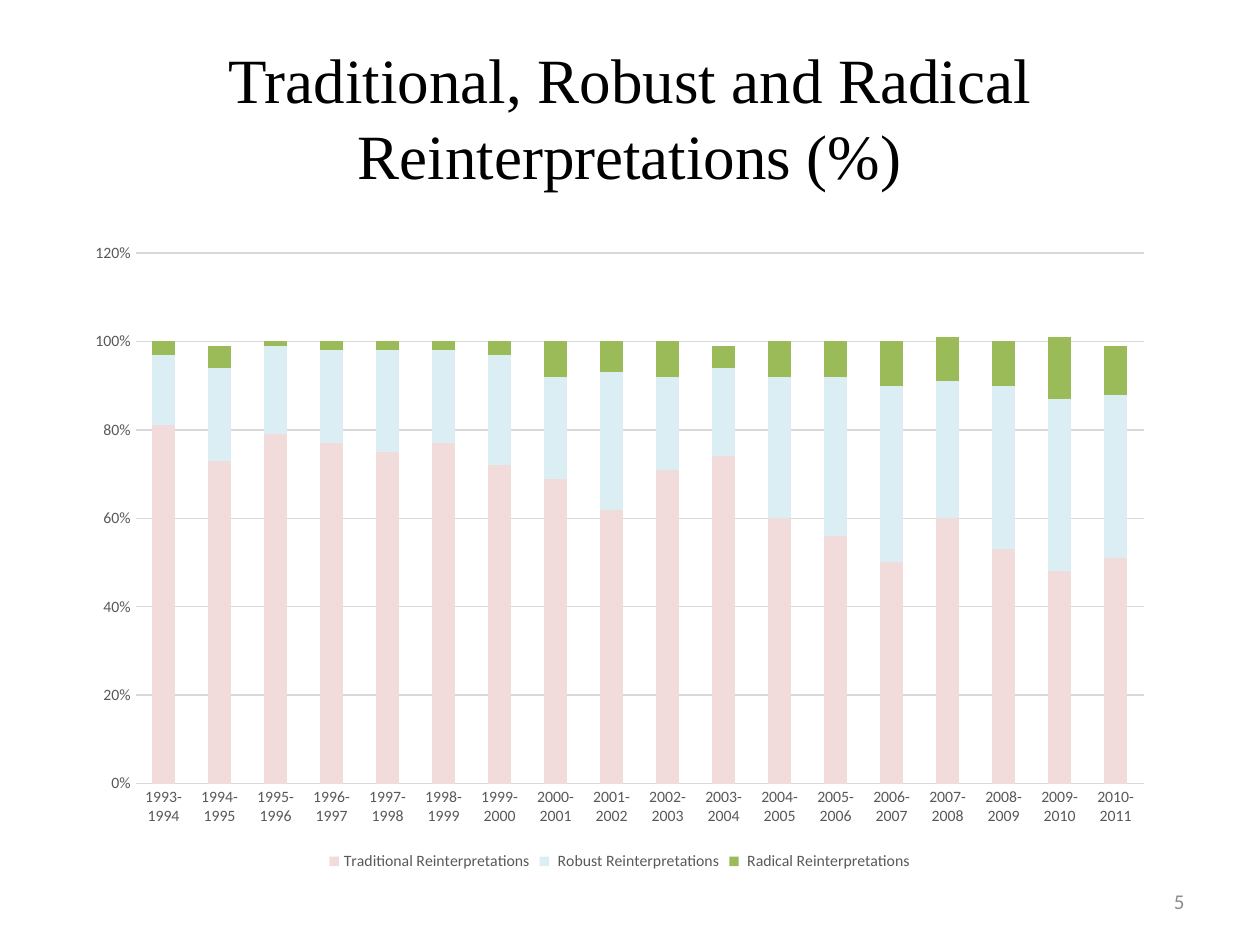
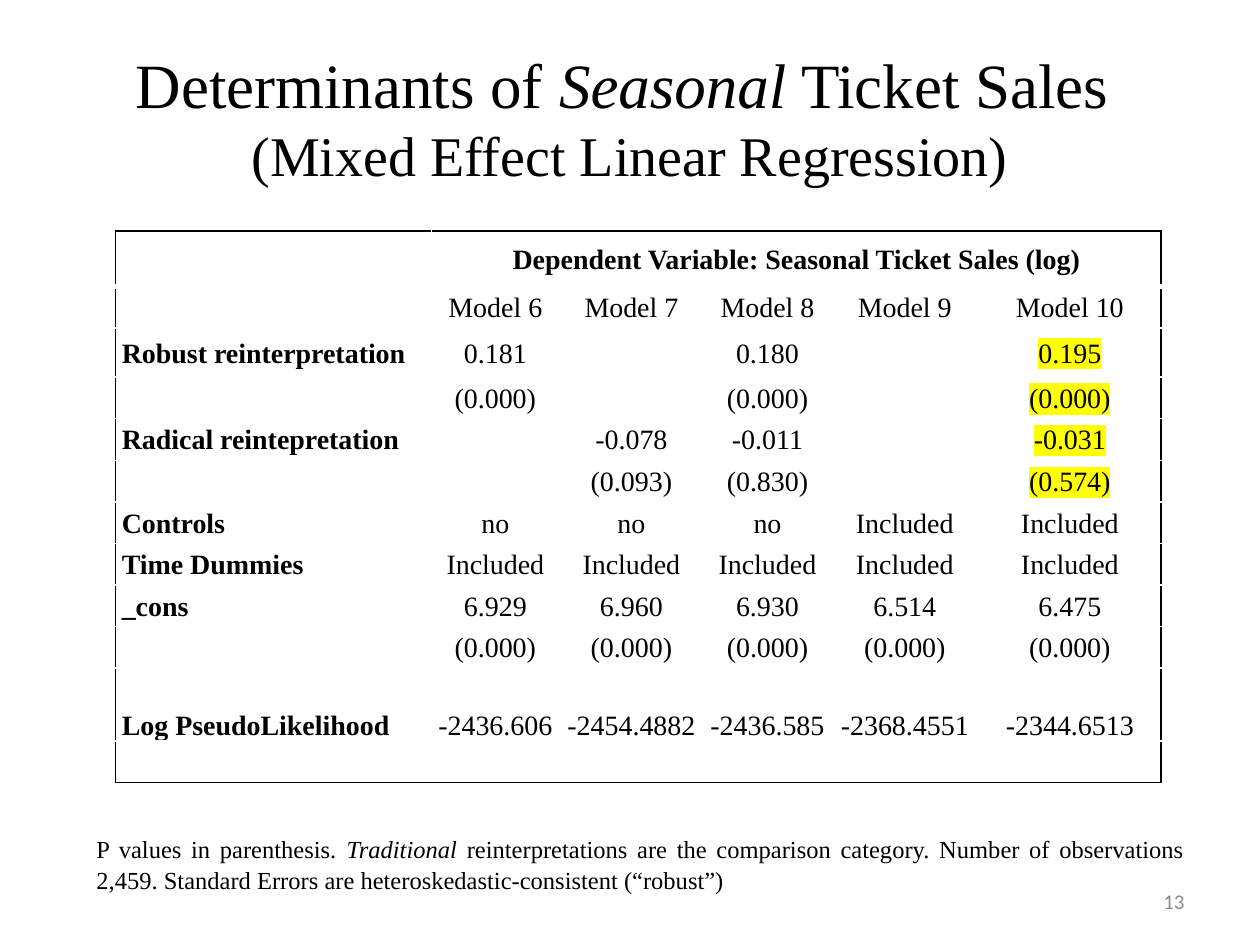
from dataclasses import dataclass
from typing import NamedTuple

from lxml import etree
from pptx import Presentation
from pptx import util as u
from pptx.chart.data import CategoryChartData
from pptx.dml.color import RGBColor
from pptx.enum import chart as ch
from pptx.enum import text
from pptx.oxml import ns

ALIGN, ANCHOR = text.PP_ALIGN, text.MSO_ANCHOR


@dataclass(frozen=True)
class Theme:
    serif: str = "Times New Roman"
    sans: str = "Calibri"
    ink: str = "000000"
    paper: str = "FFFFFF"
    muted: str = "8C8C8C"
    label: str = "595959"
    grid: str = "D9D9D9"
    mark: str = "FFFF00"
    title: int = 36
    subtitle: int = 32
    cell: int = 16
    note: int = 14
    page: int = 12
    chart: int = 9
    spacing: float = 1.07


class Box(NamedTuple):
    """A place on a grid of 120 columns by 90 rows."""
    col: float
    row: float
    cols: float
    rows: float


class Span(NamedTuple):
    text: str
    italic: bool = False
    size: int | None = None
    new_line: bool = False


class Series(NamedTuple):
    name: str
    color: str
    percents: list[int]


class Row(NamedTuple):
    label: str
    values: list[str]
    height: float = 0.33
    marked: bool = False
    anchor: ANCHOR = ANCHOR.MIDDLE


T = Theme()
WIDTH, HEIGHT = u.Inches(10), u.Inches(7.5)
UNIT = WIDTH / 120

TITLE = Box(6, 3.6, 108, 15)
PAGE = Box(86, 83.4, 28, 4.8)
CHART = Box(7, 22, 104, 61.4)
TABLE = Box(11, 22, 99.5, 53)
NOTE = Box(8, 78.6, 106, 7.3)

FIRST_SEASON = 1993
SERIES = [
    Series("Traditional Reinterpretations", "F2DCDB",
           [81, 73, 79, 77, 75, 77, 72, 69, 62, 71, 74, 60, 56, 50, 60, 53, 48, 51]),
    Series(" Robust Reinterpretations", "DBEEF4",
           [16, 21, 20, 21, 23, 21, 25, 23, 31, 21, 20, 32, 36, 40, 31, 37, 39, 37]),
    Series(" Radical Reinterpretations", "9BBB59",
           [3, 5, 1, 2, 2, 2, 3, 8, 7, 8, 5, 8, 8, 10, 10, 10, 14, 11]),
]

COLUMN_WIDTHS = [2.51, 1.01, 1.15, 1.01, 1.17, 1.45]
P_ZERO = "(0.000)"
ROWS = [
    Row("", ["Dependent Variable: Seasonal Ticket Sales (log)"] + [""] * 4, 0.44),
    Row("", [f"Model {n}" for n in range(6, 11)]),
    Row("Robust reinterpretation", ["0.181", "", "0.180", "", "0.195"], 0.39, marked=True),
    Row("", [P_ZERO, "", P_ZERO, "", P_ZERO], marked=True),
    Row("Radical reintepretation", ["", "-0.078", "-0.011", "", "-0.031"], marked=True),
    Row("", ["", "(0.093)", "(0.830)", "", "(0.574)"], marked=True),
    Row("Controls", ["no"] * 3 + ["Included"] * 2),
    Row("Time Dummies", ["Included"] * 5),
    Row("_cons", ["6.929", "6.960", "6.930", "6.514", "6.475"]),
    Row("", [P_ZERO] * 5),
    Row("Log PseudoLikelihood",
        ["-2436.606", "-2454.4882", "-2436.585", "-2368.4551", "-2344.6513"],
        0.58, anchor=ANCHOR.BOTTOM),
    Row("", [""] * 5),
]


def place(box: Box) -> list[int]:
    return [round(v * UNIT) for v in box]


def style_font(font, size: int, color: str, name: str = T.sans) -> None:
    font.size, font.name = u.Pt(size), name
    font.color.rgb = RGBColor.from_string(color)


def write(tf, spans: str | list[Span], *, size: int, color: str = T.ink, name: str = T.serif,
          bold: bool = False, align: ALIGN = ALIGN.LEFT, spacing: float | None = None,
          highlight: str | None = None) -> None:
    p = tf.paragraphs[0]
    p.alignment = align
    if spacing:
        p.line_spacing = spacing
    for span in [Span(spans)] if isinstance(spans, str) else spans:
        if span.new_line:
            p.add_line_break()
        r = p.add_run()
        r.text = span.text
        style_font(r.font, span.size or size, color, name)
        r.font.bold, r.font.italic = bold, span.italic
        if highlight:
            mark = etree.Element(ns.qn("a:highlight"))
            etree.SubElement(mark, ns.qn("a:srgbClr"), val=highlight)
            r.font.fill._xPr.find(ns.qn("a:solidFill")).addnext(mark)


def add_text(s, box: Box, spans: str | list[Span], anchor: ANCHOR = ANCHOR.MIDDLE,
             **fmt) -> None:
    tf = s.shapes.add_textbox(*place(box)).text_frame
    tf.word_wrap, tf.vertical_anchor = True, anchor
    write(tf, spans, **fmt)


def add_slide(prs, title: str | list[Span], number: int):
    """Add a blank slide with the shared title and page number."""
    s = prs.slides.add_slide(prs.slide_layouts[6])
    add_text(s, TITLE, title, size=T.title, align=ALIGN.CENTER)
    add_text(s, PAGE, str(number), size=T.page, color=T.muted, name=T.sans, align=ALIGN.RIGHT)
    return s


def add_share_chart(s) -> None:
    data = CategoryChartData(number_format="0%")
    seasons = len(SERIES[0].percents)
    data.categories = [f"{y}-{y + 1}" for y in range(FIRST_SEASON, FIRST_SEASON + seasons)]
    for series in SERIES:
        data.add_series(series.name, [v / 100 for v in series.percents])
    chart = s.shapes.add_chart(ch.XL_CHART_TYPE.COLUMN_STACKED, *place(CHART), data).chart
    chart.has_title = False
    style_font(chart.font, T.chart, T.label)

    plot = chart.plots[0]
    plot.gap_width, plot.overlap, plot.vary_by_categories = 150, 100, False
    for bars, series in zip(plot.series, SERIES):
        bars.format.fill.solid()
        bars.format.fill.fore_color.rgb = RGBColor.from_string(series.color)

    for axis in (chart.category_axis, chart.value_axis):
        axis.major_tick_mark = axis.minor_tick_mark = ch.XL_TICK_MARK.NONE
        axis.format.line.fill.background()
        style_font(axis.tick_labels.font, T.chart, T.label)
    values = chart.value_axis
    values.minimum_scale, values.maximum_scale, values.major_unit = 0, 1.2, 0.2
    values.tick_labels.number_format = "0%"
    values.tick_labels.number_format_is_linked = False
    line = values.major_gridlines.format.line
    line.width, line.color.rgb = u.Pt(0.75), RGBColor.from_string(T.grid)

    chart.has_legend = True
    chart.legend.position = ch.XL_LEGEND_POSITION.BOTTOM
    chart.legend.include_in_layout = False
    style_font(chart.legend.font, T.chart, T.label)


def set_borders(cell, black_sides: set[str], heavy_bottom: bool) -> None:
    """Rule all four sides: black on the table's outline, white inside it."""
    tc_pr = cell._tc.get_or_add_tcPr()
    for i, side in enumerate("LRTB"):
        points = 3 if side == "B" and heavy_bottom else 1
        ln = etree.Element(ns.qn(f"a:ln{side}"), w=str(u.Pt(points)))
        fill = etree.SubElement(ln, ns.qn("a:solidFill"))
        etree.SubElement(fill, ns.qn("a:srgbClr"), val=T.ink if side in black_sides else T.paper)
        tc_pr.insert(i, ln)


def add_regression_table(s) -> None:
    last_row, last_col = len(ROWS) - 1, len(COLUMN_WIDTHS) - 1
    table = s.shapes.add_table(last_row + 1, last_col + 1, *place(TABLE)).table
    table.first_row = table.horz_banding = False
    for column, width in zip(table.columns, COLUMN_WIDTHS):
        column.width = u.Inches(width)
    table.cell(0, 1).merge(table.cell(0, last_col))

    for i, row in enumerate(ROWS):
        table.rows[i].height = u.Inches(row.height)
        for j, value in enumerate([row.label, *row.values]):
            cell = table.cell(i, j)
            cell.fill.background()
            cell.margin_left = cell.margin_right = u.Inches(0.05)
            cell.margin_top = cell.margin_bottom = 0
            cell.vertical_anchor = row.anchor
            at_right = j == last_col or cell.is_merge_origin
            outline = {"L": j == 0, "R": at_right, "T": i == 0, "B": i == last_row}
            set_borders(cell, {side for side, on in outline.items() if on}, i == 0)
            if value:
                write(cell.text_frame, value, size=T.cell, bold=i == 0 or j == 0,
                      align=ALIGN.CENTER if j else ALIGN.LEFT, spacing=T.spacing,
                      highlight=T.mark if row.marked and j == last_col else None)


def main() -> None:
    prs = Presentation()
    prs.slide_width, prs.slide_height = WIDTH, HEIGHT

    s = add_slide(prs, "Traditional, Robust and Radical Reinterpretations (%)", 5)
    add_share_chart(s)

    s = add_slide(prs, [
        Span("Determinants of "), Span("Seasonal", italic=True), Span(" Ticket Sales "),
        Span("(Mixed Effect Linear Regression)", size=T.subtitle, new_line=True),
    ], 13)
    add_regression_table(s)
    add_text(s, NOTE, [
        Span("P values in parenthesis. "), Span("Traditional", italic=True),
        Span(" reinterpretations are the comparison category. Number of observations 2,459. "
             "Standard Errors are heteroskedastic-consistent (“robust”)"),
    ], ANCHOR.TOP, size=T.note, align=ALIGN.JUSTIFY, spacing=T.spacing)

    prs.save("out.pptx")


if __name__ == "__main__":
    main()
